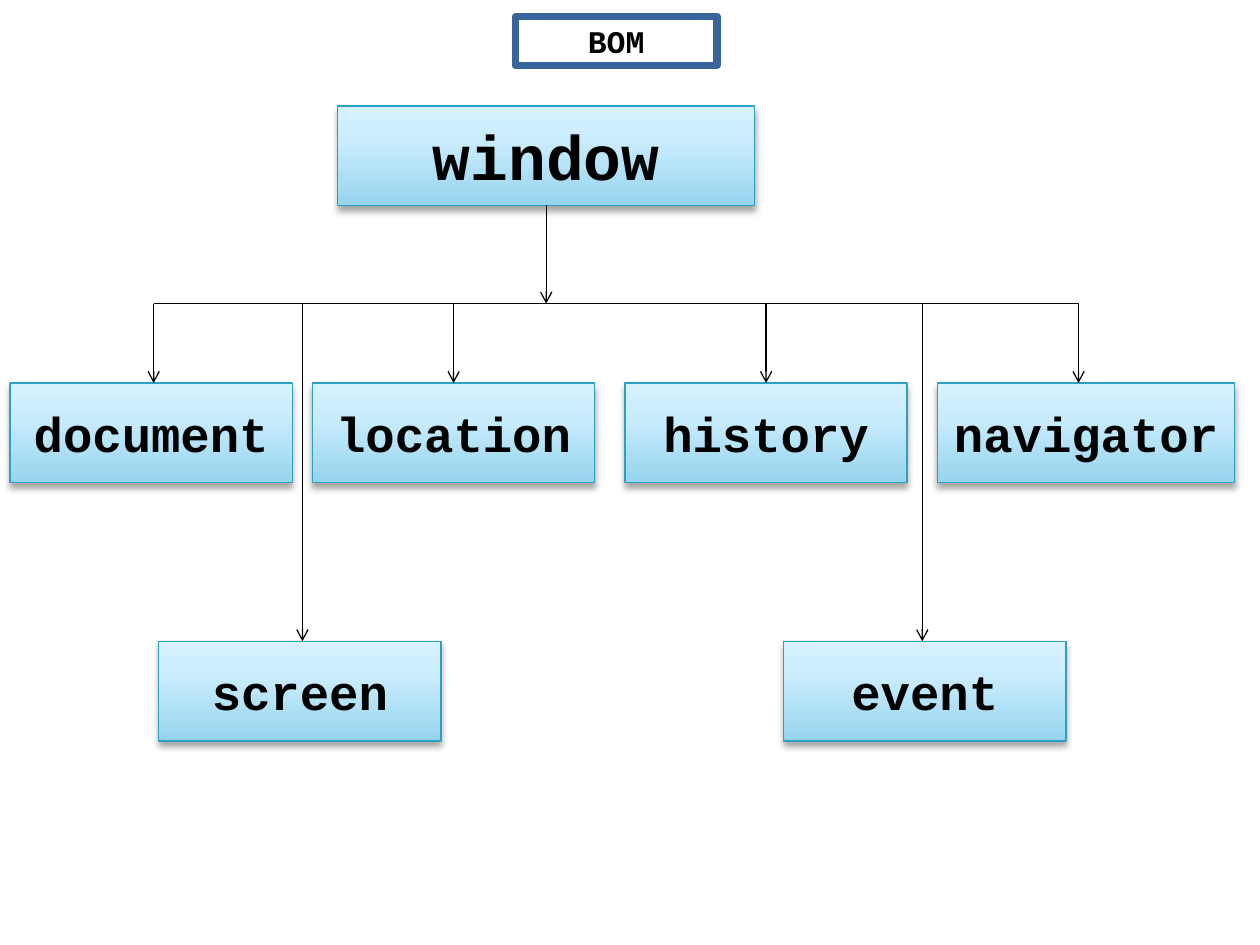
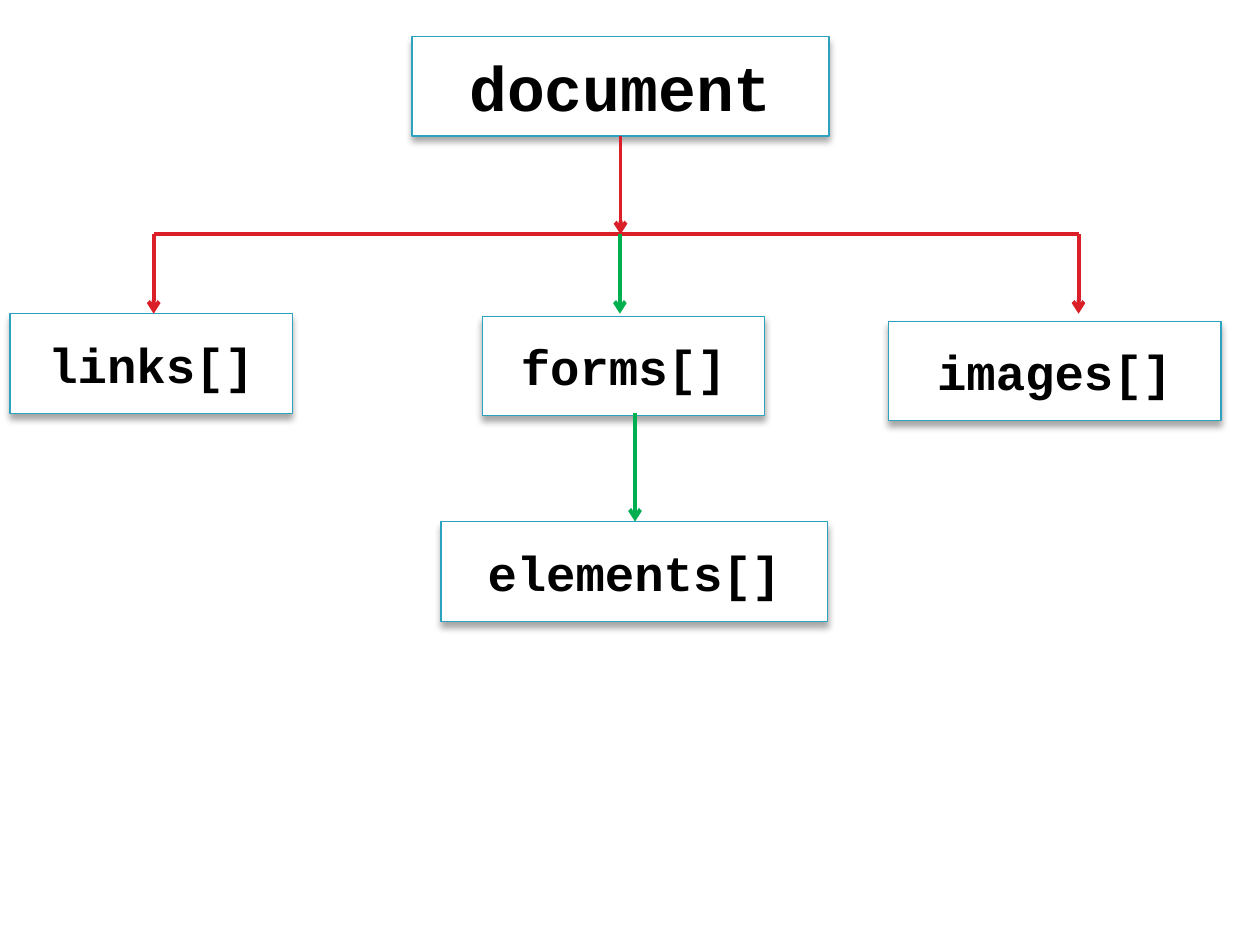
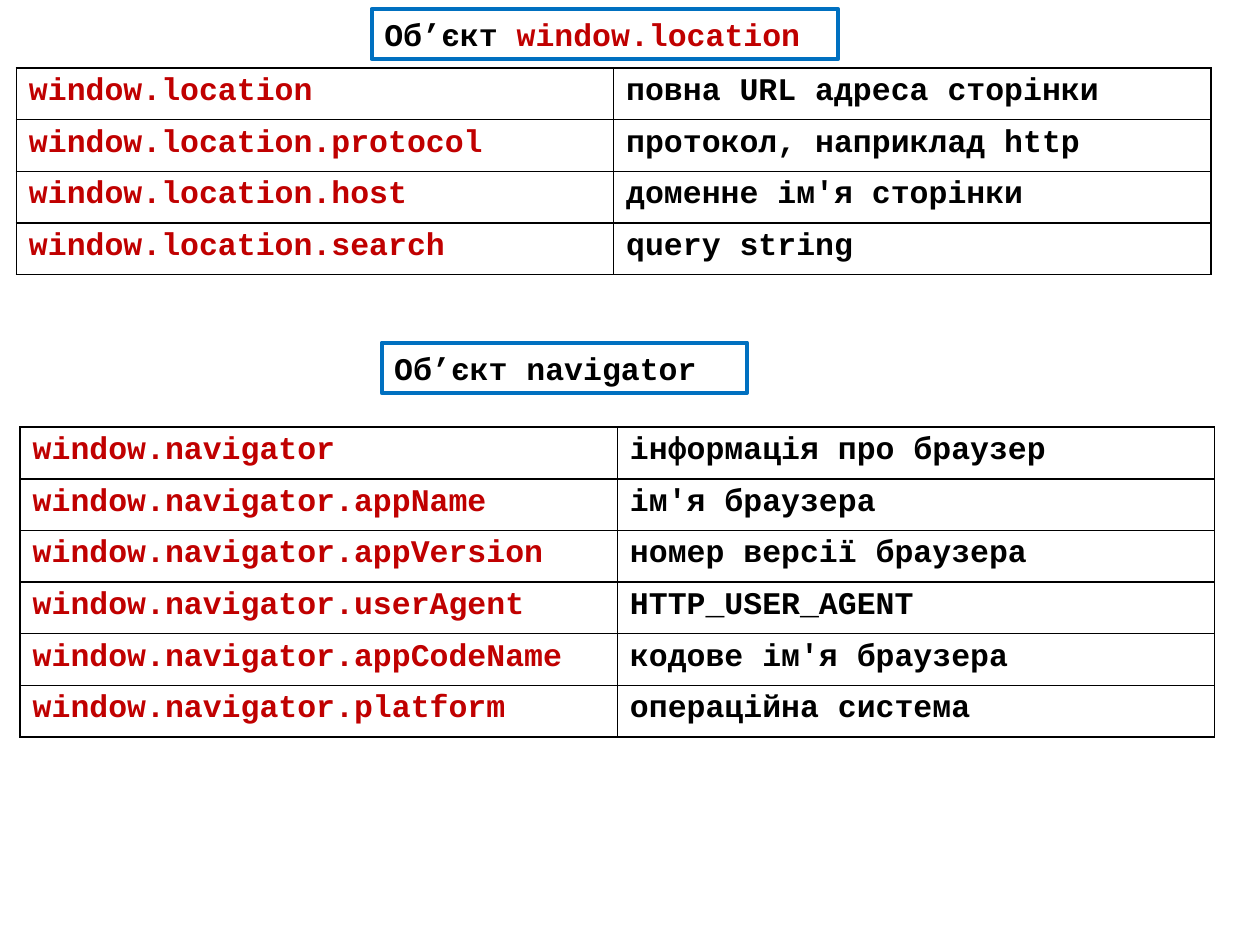
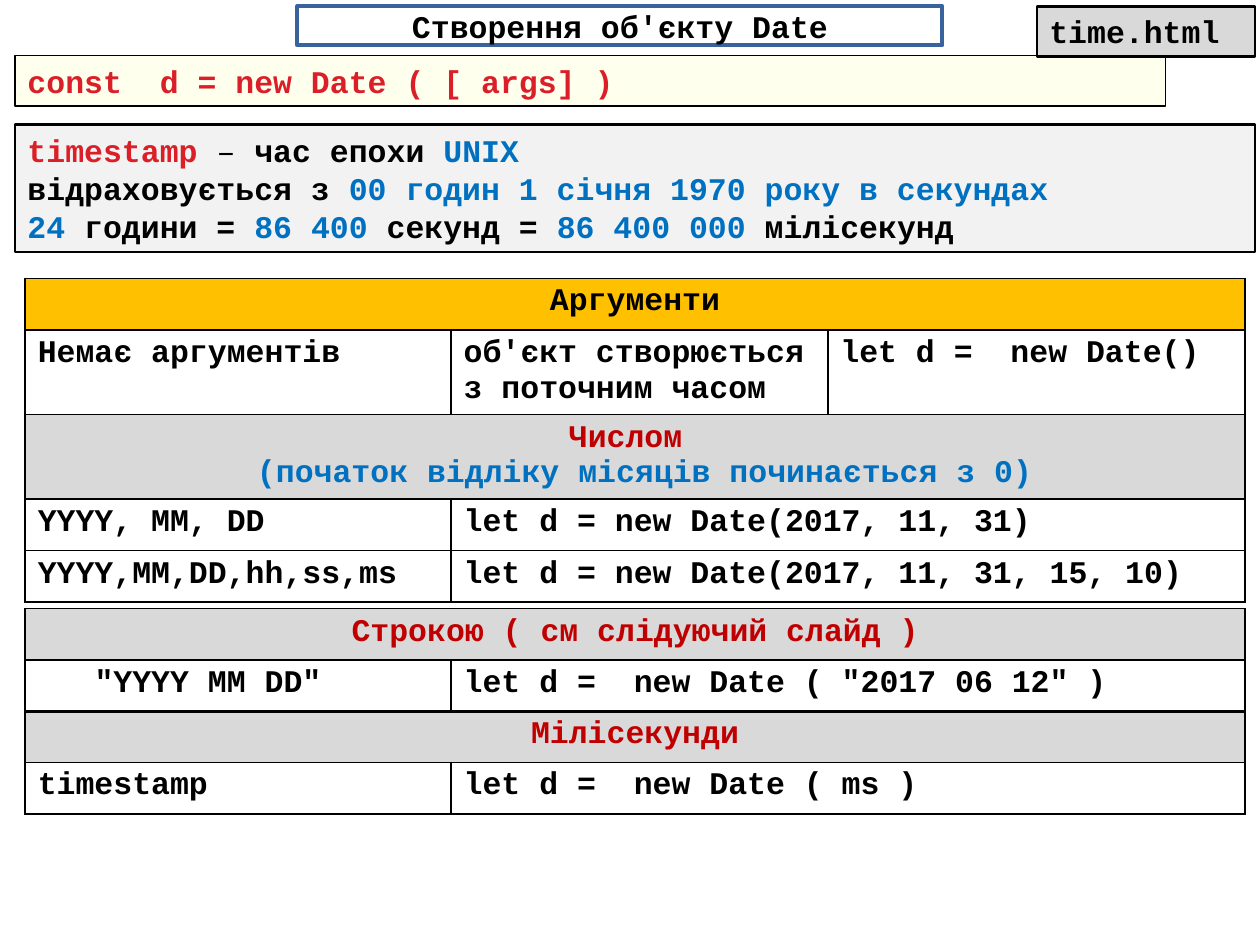
"""Build four slides on the browser object model and the Date object."""
from dataclasses import dataclass

from pptx import Presentation
from pptx.dml.color import RGBColor
from pptx.enum import shapes, text
from pptx.oxml import parse_xml
from pptx.oxml.ns import nsdecls, qn
from pptx import util as u


@dataclass(frozen=True)
class Theme:
    font: str = "Courier New"
    root: int = 36
    node: int = 28
    body: int = 18
    black: str = "000000"
    white: str = "FFFFFF"
    red: str = "DA1F28"
    dark_red: str = "C00000"
    green: str = "00B050"
    blue: str = "0070C0"
    navy: str = "39639D"
    teal: str = "2DA2BF"
    yellow: str = "FFFF00"
    amber: str = "FFC000"
    grey: str = "D9D9D9"
    pale: str = "F2F2F2"
    gradient: tuple = ((0, "96D4EE"), (65, "C9ECFC"), (100, "D7F2FF"))


T = Theme()
WIDTH, HEIGHT = 10, 7.5
NODE_H, ROW_H, TALL_H = 0.79, 0.41, 0.67
LEFT, CENTER = text.PP_ALIGN.LEFT, text.PP_ALIGN.CENTER
COL, ROW1, ROW2 = 2.48, 3.04, 5.09

BOM = {
    "root": ("window", 2.68, 0.84, 3.31),
    "nodes": [("document", 0.08, ROW1, 2.24), ("location", COL, ROW1, 2.24),
              ("history", 2 * COL, ROW1, 2.24), ("navigator", 3 * COL, ROW1, 2.36),
              ("screen", 1.26, ROW2, 2.24), ("event", 6.22, ROW2, 2.24)],
    "bus": 2.41,
    "drops": [(1.22, ROW1, T.black), (3.6, ROW1, T.black), (6.08, ROW1, T.black),
              (8.56, ROW1, T.black), (2.4, ROW2, T.black), (7.32, ROW2, T.black)],
    "links": [],
    "line": (T.black, 0.75),
    "gradient": True,
}
DOCUMENT = {
    "root": ("document", 3.27, 0.29, 3.31),
    "nodes": [("links[]", 0.08, 2.49, 2.24), ("forms[]", 3.83, 2.51, 2.24),
              ("images[]", 7.05, 2.55, 2.64), ("elements[]", 3.5, 4.14, 3.07)],
    "bus": 1.86,
    "drops": [(1.22, 2.49, T.red), (4.92, 2.49, T.green), (8.56, 2.49, T.red)],
    "links": [(5.04, 3.28, 4.14, T.green)],
    "line": (T.red, 2.25),
    "gradient": False,
}
LOCATION = [
    ("window.location", "повна URL адреса сторінки"),
    ("window.location.protocol", "протокол, наприклад http"),
    ("window.location.host", "доменне ім'я сторінки"),
    ("window.location.search", "query string"),
]
NAVIGATOR = [
    ("window.navigator", "інформація про браузер"),
    ("window.navigator.appName", "ім'я браузера"),
    ("window.navigator.appVersion", "номер версії браузера"),
    ("window.navigator.userAgent", "HTTP_USER_AGENT"),
    ("window.navigator.appCodeName", "кодове ім'я браузера"),
    ("window.navigator.platform", "операційна система"),
]
TIMESTAMP = [
    [("timestamp", T.red), (" – ", T.black, False), ("час епохи ", T.black), ("UNIX", T.blue)],
    [("відраховується з ", T.black), ("00 годин 1 січня 1970 року в секундах", T.blue)],
    [("24 ", T.blue), ("години = ", T.black), ("86 400 ", T.blue), ("секунд = ", T.black),
     ("86 400 000 ", T.blue), ("мілісекунд", T.black)],
]
ARGUMENTS = [
    ["Аргументи"],
    ["Немає аргументів", "об'єкт створюється з поточним часом", "let d =  new Date()"],
    [[[("Числом ", T.dark_red)], [(" (початок відліку місяців починається з 0)", T.blue)]]],
    ["YYYY, MM, DD", "let d = new Date(2017, 11, 31)"],
    ["YYYY,MM,DD,hh,ss,ms", "let d = new Date(2017, 11, 31, 15, 10)"],
]
STRING = [
    [[[("Строкою ( см слідуючий слайд )", T.dark_red)]]],
    ['"YYYY МM DD"', 'let d =  new Date ( "2017 06 12" )'],
]
MILLISECONDS = [
    [[[("Мілісекунди", T.dark_red)]]],
    ["timestamp", "let d =  new Date ( ms )"],
]
DATE_COLS = (3.38, 2.99, 3.31)


def rgb(value):
    return RGBColor.from_string(value)


def inches(*values):
    return [u.Inches(v) for v in values]


def write(tf, content, size=T.body, align=LEFT):
    """Fill a text frame from a string or from paragraphs of runs."""
    if isinstance(content, str):
        content = [[(content, T.black)]]
    for i, runs in enumerate(content):
        p = tf.add_paragraph() if i else tf.paragraphs[0]
        p.alignment = align
        for words, color, *bold in runs:
            r = p.add_run()
            r.text = words
            r.font.name, r.font.size = T.font, u.Pt(size)
            r.font.bold = bold[0] if bold else True
            r.font.color.rgb = rgb(color)


def dress(sp, content, line, fill=None, size=T.body, align=LEFT, anchor="TOP"):
    """Set fill, outline and text of a box or a placeholder."""
    sp.shadow.inherit = False
    if fill:
        sp.fill.solid()
        sp.fill.fore_color.rgb = rgb(fill)
    else:
        sp.fill.background()
    sp.line.color.rgb, sp.line.width = rgb(line[0]), u.Pt(line[1])
    tf = sp.text_frame
    tf.word_wrap, tf.auto_size = True, text.MSO_AUTO_SIZE.NONE
    tf.vertical_anchor = getattr(text.MSO_ANCHOR, anchor)
    write(tf, content, size, align)
    return sp


def add_title(s, at, *args, **kw):
    sp = s.shapes.title
    sp.left, sp.top, sp.width, sp.height = inches(*at)
    return dress(sp, *args, **kw)


def add_box(s, at, *args, **kw):
    return dress(s.shapes.add_textbox(*inches(*at)), *args, **kw)


def add_shadow(sp):
    effects = sp._element.spPr.find(qn("a:effectLst"))
    effects.append(parse_xml(
        f'<a:outerShdw {nsdecls("a")} blurRad="50800" dist="38100" dir="5400000" rotWithShape="0">'
        f'<a:srgbClr val="{T.black}"><a:alpha val="35000"/></a:srgbClr></a:outerShdw>'))


def add_gradient(sp):
    stops = "".join(f'<a:gs pos="{pos * 1000}"><a:srgbClr val="{c}"/></a:gs>'
                    for pos, c in T.gradient)
    spPr = sp._element.spPr
    spPr.replace(spPr.find(qn("a:solidFill")), parse_xml(
        f'<a:gradFill {nsdecls("a")} rotWithShape="1"><a:gsLst>{stops}</a:gsLst>'
        '<a:lin ang="16200000" scaled="0"/></a:gradFill>'))


def add_line(s, x1, y1, x2, y2, color, width, arrow=True):
    c = s.shapes.add_connector(shapes.MSO_CONNECTOR.STRAIGHT, *inches(x1, y1, x2, y2))
    c.line.color.rgb, c.line.width = rgb(color), u.Pt(width)
    if arrow:
        c.line._get_or_add_ln().append(parse_xml(f'<a:tailEnd {nsdecls("a")} type="arrow"/>'))
    c._element.spPr.append(parse_xml(f'<a:effectLst {nsdecls("a")}/>'))


def add_tree(s, tree, root_is_title=False):
    """Draw the root, its child boxes and the branching arrows."""
    for i, (name, x, y, w) in enumerate([tree["root"]] + tree["nodes"]):
        if i == 0 and root_is_title:
            sp = s.shapes.title
            sp.left, sp.top, sp.width, sp.height = inches(x, y, w, NODE_H)
        else:
            sp = s.shapes.add_shape(shapes.MSO_SHAPE.RECTANGLE, *inches(x, y, w, NODE_H))
        dress(sp, name, (T.teal, 0.75), T.white, T.node if i else T.root, CENTER, "MIDDLE")
        add_shadow(sp)
        if tree["gradient"]:
            add_gradient(sp)
    _, x, y, w = tree["root"]
    bus, (color, width) = tree["bus"], tree["line"]
    xs = [drop[0] for drop in tree["drops"]]
    add_line(s, x + w / 2, y + NODE_H, x + w / 2, bus, color, width)
    add_line(s, min(xs), bus, max(xs), bus, color, width, arrow=False)
    drops = [(dx, bus, end, c) for dx, end, c in tree["drops"]]
    for dx, start, end, c in drops + tree["links"]:
        add_line(s, dx, start, dx, end, c, width)


def add_grid(s, x, y, cols, rows, heads=(), tall=()):
    """Add a ruled table; a short row's last cell spans the columns left over."""
    heights = [TALL_H if i in tall else ROW_H for i in range(len(rows))]
    frame = s.shapes.add_table(len(rows), len(cols), *inches(x, y, sum(cols), sum(heights)))
    table = frame.table
    table.first_row = table.horz_banding = False
    for column, w in zip(table.columns, cols):
        column.width = u.Inches(w)
    for i, (row, h) in enumerate(zip(rows, heights)):
        table.rows[i].height = u.Inches(h)
        for j in range(len(cols)):
            rule_cell(table.cell(i, j), dict(heads).get(i))
        if len(row) < len(cols):
            table.cell(i, len(row) - 1).merge(table.cell(i, len(cols) - 1))
        for j, content in enumerate(row):
            write(table.cell(i, j).text_frame, content, align=CENTER if len(row) == 1 else LEFT)
    return table


def rule_cell(cell, fill):
    tcPr = cell._tc.get_or_add_tcPr()
    for side in "LRTB":
        tcPr.append(parse_xml(
            f'<a:ln{side} {nsdecls("a")} w="12700"><a:solidFill><a:srgbClr val="{T.black}"/>'
            f'</a:solidFill></a:ln{side}>'))
    if fill:
        cell.fill.solid()
        cell.fill.fore_color.rgb = rgb(fill)
    else:
        cell.fill.background()


def property_rows(pairs):
    return [[[[(name, T.dark_red)]], meaning] for name, meaning in pairs]


def bom_slide(s):
    add_title(s, (4.09, 0.13, 1.6, 0.39), "BOM", (T.navy, 4.33), T.white,
              align=CENTER, anchor="MIDDLE")
    add_tree(s, BOM)


def document_slide(s):
    add_tree(s, DOCUMENT, root_is_title=True)


def properties_slide(s):
    line, halves = (T.blue, 2.25), (4.74, 4.74)
    add_title(s, (2.95, 0.07, 3.7, 0.4),
              [[("Об’єкт ", T.black), ("window.location", T.dark_red)]], line)
    add_grid(s, 0.13, 0.54, halves, property_rows(LOCATION))
    add_grid(s, 0.16, 3.39, halves, property_rows(NAVIGATOR))
    add_box(s, (3.03, 2.72, 2.9, 0.4), "Об’єкт navigator", line)


def date_slide(s):
    add_title(s, (2.36, 0.05, 5.12, 0.31), "Створення об'єкту Date", (T.navy, 2.25), T.white,
              align=CENTER, anchor="MIDDLE")
    add_grid(s, 0.2, 2.21, DATE_COLS, ARGUMENTS, [(0, T.amber), (2, T.grey)], tall=(1, 2))
    syntax = add_box(s, (0.12, 0.44, 9.13, 0.4), [[("const  d = new Date ( [ args] )", T.red)]],
                     (T.black, 1), T.yellow)
    tint = syntax._element.spPr.find(qn("a:solidFill"))[0]
    tint.append(parse_xml(f'<a:alpha {nsdecls("a")} val="7000"/>'))
    add_box(s, (8.23, 0.05, 1.73, 0.4), "time.html", (T.black, 1.5), T.grey)
    add_box(s, (0.12, 0.99, 9.84, 1.01), TIMESTAMP, (T.black, 1.5), T.pale)
    add_grid(s, 0.2, 5.64, DATE_COLS, MILLISECONDS, [(0, T.grey)])
    first, *rest = DATE_COLS
    table = add_grid(s, 0.2, 4.83, (first, sum(rest)), STRING, [(0, T.grey)])
    p = table.cell(1, 0).text_frame.paragraphs[0]
    p._p.get_or_add_pPr().set("marL", str(u.Inches(0.45)))


def main():
    prs = Presentation()
    prs.slide_width, prs.slide_height = inches(WIDTH, HEIGHT)
    title_only = prs.slide_layouts[5]
    for fill_slide in (bom_slide, document_slide, properties_slide, date_slide):
        fill_slide(prs.slides.add_slide(title_only))
    prs.save("out.pptx")


if __name__ == "__main__":
    main()
